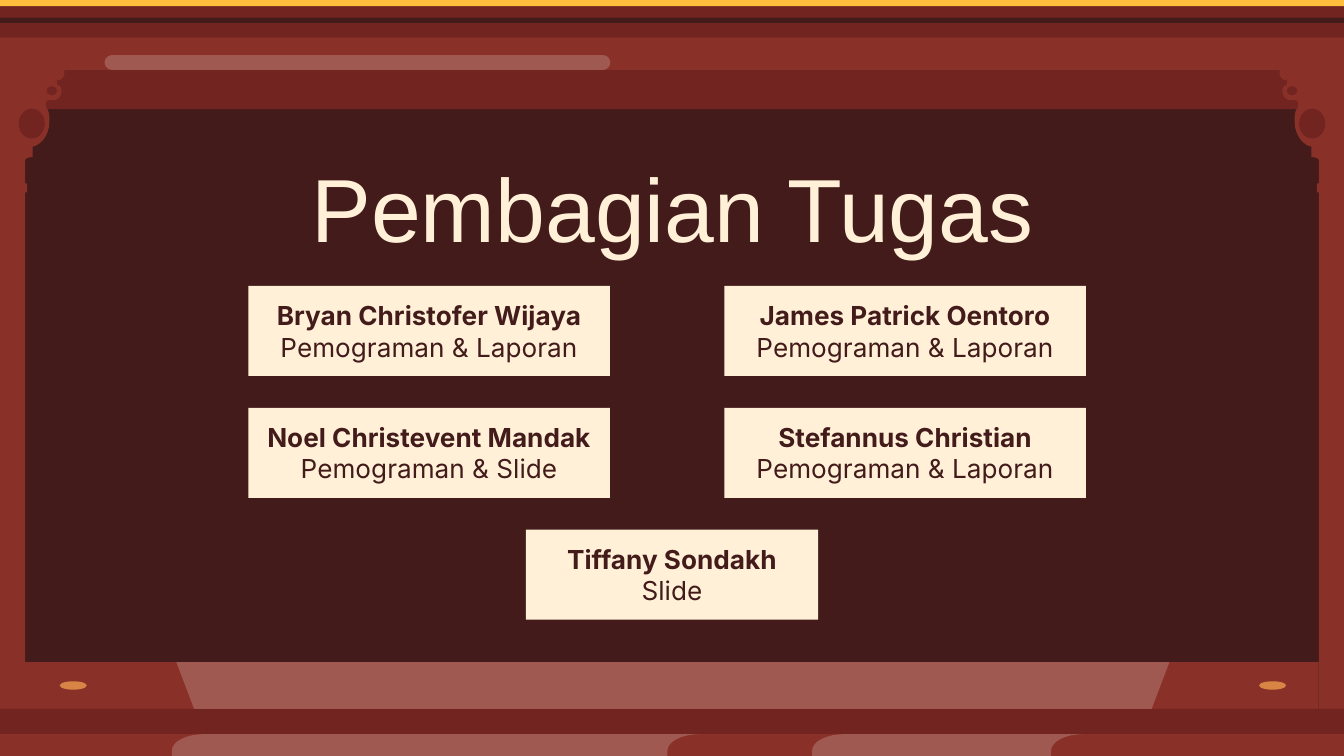
from lxml.etree import SubElement
from pptx import Presentation
from pptx.dml.color import RGBColor
from pptx.enum.shapes import MSO_SHAPE
from pptx.enum.text import MSO_ANCHOR, MSO_AUTO_SIZE, PP_ALIGN
from pptx.oxml.ns import qn
from pptx.util import Pt

COLORS = {
    "night": "421B1A",
    "red": "893128",
    "maroon": "722420",
    "gold": "FFBE3B",
    "stud": "D88445",
    "cream": "FFF0D7",
    "shine": "FFFCF7",
}
W, H = 720, 405


def paint(sp, color):
    """Fill a shape without line or shadow; shine is 20% opaque."""
    sp.shadow.inherit = False
    sp.fill.solid()
    sp.fill.fore_color.rgb = RGBColor.from_string(COLORS[color])
    sp.line.fill.background()
    if color == "shine":
        clr = sp.element.spPr.find(".//" + qn("a:srgbClr"))
        SubElement(clr, qn("a:alpha"), val="20000")


def add_outline(steps, color):
    """Draw a closed outline; a step is a point (2 numbers) or a cubic curve (6)."""
    points = []
    for step in steps:
        if len(step) == 2:
            points.append(step)
            continue
        (x0, y0), (x1, y1, x2, y2, x3, y3) = points[-1], step
        for i in range(1, 9):
            t = i / 8
            a, b, c, d = (1 - t) ** 3, 3 * t * (1 - t) ** 2, 3 * t * t * (1 - t), t ** 3
            points.append((a * x0 + b * x1 + c * x2 + d * x3,
                           a * y0 + b * y1 + c * y2 + d * y3))
    points = [(Pt(x), Pt(y)) for x, y in points]
    builder = s.shapes.build_freeform(*points[0])
    builder.add_line_segments(points[1:], close=True)
    paint(builder.convert_to_shape(), color)


prs = Presentation()
prs.slide_width, prs.slide_height = Pt(W), Pt(H)
s = prs.slides.add_slide(prs.slide_layouts[5])
s.background.fill.solid()
s.background.fill.fore_color.rgb = RGBColor.from_string(COLORS["night"])

# Stage frame: posts, rails, valance, cornice and floor
bands = [
    (0, 20, 13.5, 363, "red"),
    (706.5, 20, 13.5, 363, "red"),
    (13.5, 354.75, 693, 25, "red"),
    (0, 34.5, W, 24, "maroon"),
    (0, 17.5, W, 20, "red"),
    (0, 0, W, 20.25, "maroon"),
    (0, 0, W, 3.25, "gold"),
    (0, 9.5, W, 2.75, "night"),
    (0, 379.75, W, 16.25, "maroon"),
    (0, 393.25, W, 11.75, "red"),
]
for x, y, w, h, color in bands:
    paint(s.shapes.add_shape(MSO_SHAPE.RECTANGLE, Pt(x), Pt(y), Pt(w), Pt(h)), color)

# Highlights
sp = s.shapes.add_shape(MSO_SHAPE.ROUNDED_RECTANGLE, Pt(56), Pt(29.5), Pt(271), Pt(8))
sp.adjustments[0] = 0.5
paint(sp, "shine")
add_outline([(94.5, 354.75), (104, 379.75), (617, 379.75), (626.5, 354.75)], "shine")
for left, right in [(92, 375.5), (435, 581)]:
    add_outline([(right, 393.25), (left + 18, 393.25),
                 (left + 8, 393.25, left, 397, left, 402.5),
                 (left, H), (right - 18, H), (right - 18, 402.5),
                 (right - 18, 397, right - 10, 393.25, right, 393.25)], "shine")

# Corner carvings, the right one mirrored
carving = [
    (34.5, 35), (0, 35), (0, 103), (14.5, 103), (14.5, 98.5),
    (10, 98.5, 8.5, 84, 17.5, 84), (17.5, 78.5),
    (20, 78.5, 26.5, 74, 26.5, 65), (26.5, 61, 26, 59, 25, 58),
    (24, 56, 24.5, 53.5, 26.5, 53.5), (29, 53.5),
    (31, 53.5, 32.5, 52, 33, 49.5), (33, 48, 33, 45.5, 30.5, 45.5),
    (30.5, 43), (32.5, 43, 34.5, 42, 34.5, 39),
]
mirrored = [[W - v if i % 2 == 0 else v for i, v in enumerate(step)] for step in carving]
for steps in (carving, mirrored):
    add_outline(steps, "red")

ovals = [(32, 365, 14.5, 4.5, "stud"), (674.5, 365, 14.5, 4.5, "stud")]
for x, y, w, h in [(10, 58.25, 14, 16), (25, 46.25, 5.5, 4.75)]:
    ovals += [(x, y, w, h, "maroon"), (W - x - w, y, w, h, "maroon")]
for x, y, w, h, color in ovals:
    paint(s.shapes.add_shape(MSO_SHAPE.OVAL, Pt(x), Pt(y), Pt(w), Pt(h)), color)

# Title, brought in front of the frame
title = s.shapes.title
title.element.getparent().append(title.element)
title.left, title.top, title.width, title.height = Pt(56.75), Pt(70.5), Pt(607), Pt(37.5)
tf = title.text_frame
tf.text = "Pembagian Tugas"
tf.auto_size = MSO_AUTO_SIZE.NONE
tf.vertical_anchor = MSO_ANCHOR.TOP
tf.margin_top = Pt(18)
p = tf.paragraphs[0]
p.alignment = PP_ALIGN.CENTER
p.line_spacing = 0.9
font = p.runs[0].font
font.name, font.size = "Arial", Pt(48)
font.color.rgb = RGBColor.from_string(COLORS["cream"])

# Task cards
LEFT, RIGHT, WIDE = 133, 388, 193.75
TOP, PITCH, CARD_H = 153.25, 65.25, 48.25
cards = [
    (LEFT, 0, WIDE, "Bryan Christofer Wijaya", "Pemograman & Laporan"),
    (RIGHT, 0, WIDE, "James Patrick Oentoro", "Pemograman & Laporan"),
    (LEFT, 1, WIDE, "Noel Christevent Mandak", "Pemograman & Slide"),
    (RIGHT, 1, WIDE, "Stefannus Christian", "Pemograman & Laporan"),
    (281.75, 2, 156.5, "Tiffany Sondakh", "Slide"),
]
for x, row, w, name, task in cards:
    sp = s.shapes.add_shape(MSO_SHAPE.RECTANGLE, Pt(x), Pt(TOP + row * PITCH), Pt(w), Pt(CARD_H))
    paint(sp, "cream")
    tf = sp.text_frame
    tf.text = f"{name}\n{task}"
    tf.word_wrap = True
    tf.auto_size = MSO_AUTO_SIZE.SHAPE_TO_FIT_TEXT
    tf.margin_left = tf.margin_right = tf.margin_top = tf.margin_bottom = Pt(7.2)
    for p in tf.paragraphs:
        p.alignment = PP_ALIGN.CENTER
        font = p.runs[0].font
        font.name, font.size = "Inter", Pt(14)
        font.bold = p.text == name
        font.color.rgb = RGBColor.from_string(COLORS["night"])

prs.save("out.pptx")
